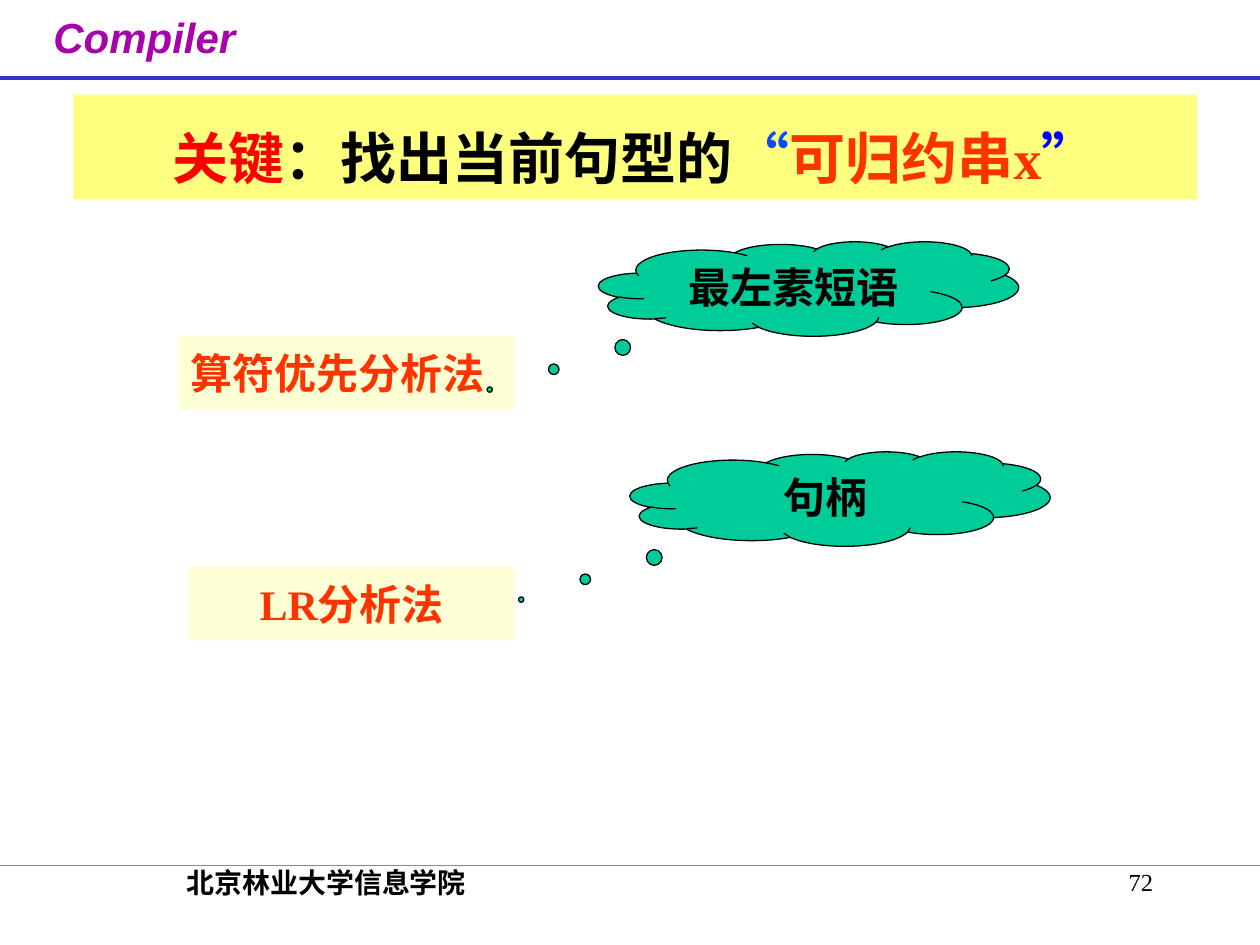
from lxml import etree
from pptx import Presentation
from pptx.dml.color import RGBColor
from pptx.enum.shapes import MSO_CONNECTOR, MSO_SHAPE
from pptx.enum.text import MSO_ANCHOR, PP_ALIGN
from pptx.oxml.ns import qn
from pptx.util import Pt

COLORS = {
    "black": "000000",
    "purple": "A603AB",
    "header_rule": "3333CC",
    "green": "00CC99",
    "cream": "FFFFD5",
    "yellow": "FFFF00",
    "red": "FF0000",
    "orange": "FF3300",
    "open_quote": "0F48FF",
    "close_quote": "0000FF",
}
SERIF = "Times New Roman"


def rgb(name):
    return RGBColor.from_string(COLORS[name])


def write(shape, runs, size, align=PP_ALIGN.CENTER, bold=True, italic=False,
          font=SERIF, wrap=True):
    """Fill the shape's first paragraph with (text, colour) runs."""
    shape.text_frame.word_wrap = wrap
    paragraph = shape.text_frame.paragraphs[0]
    paragraph.alignment = align
    paragraph.font.name = font
    paragraph.font.size = Pt(size)
    paragraph.font.bold = bold
    paragraph.font.italic = italic
    for text, color in runs:
        run = paragraph.add_run()
        run.text = text
        run.font.color.rgb = rgb(color)
    return paragraph


def add_label(slide, box, text, color, size, **style):
    label = slide.shapes.add_textbox(*map(Pt, box))
    write(label, [(text, color)], size, **style)


def add_rule(slide, y, color, width):
    """Draw a horizontal line across the whole slide."""
    rule = slide.shapes.add_connector(MSO_CONNECTOR.STRAIGHT, 0, Pt(y), Pt(720), Pt(y))
    rule.line.color.rgb = rgb(color)
    rule.line.width = Pt(width)
    etree.SubElement(rule._element.spPr, qn("a:effectLst"))


def add_filled(slide, kind, box, fill):
    shape = slide.shapes.add_shape(kind, *map(Pt, box))
    shape.shadow.inherit = False
    shape.fill.solid()
    shape.fill.fore_color.rgb = rgb(fill)
    shape.line.fill.background()
    shape.text_frame.vertical_anchor = MSO_ANCHOR.MIDDLE
    return shape


def add_method(slide, box, text, align):
    method = add_filled(slide, MSO_SHAPE.RECTANGLE, box, "cream")
    write(method, [(text, "orange")], 24, align=align, wrap=False)


def add_cloud(slide, left, top, text):
    cloud = add_filled(slide, MSO_SHAPE.CLOUD_CALLOUT, (left, top, 240, 54), "green")
    cloud.adjustments[0] = -0.759
    cloud.adjustments[1] = 1.067
    cloud.line.color.rgb = rgb("black")
    cloud.line.width = Pt(0.75)
    write(cloud, [(text, "black")], 24)


def add_title(slide):
    banner = add_filled(slide, MSO_SHAPE.RECTANGLE, (42, 54, 642, 60), "yellow")
    color = banner._element.spPr.find(qn("a:solidFill"))[0]
    etree.SubElement(color, qn("a:alpha"), val="50000")
    paragraph = write(banner, [
        ("关键", "red"),
        ("：找出当前句型的", "black"),
        ("“", "open_quote"),
        ("可归约串x", "orange"),
        ("”", "close_quote"),
    ], 32, wrap=False)
    paragraph.line_spacing = 1.3


def main():
    presentation = Presentation()
    presentation.slide_width = Pt(720)
    presentation.slide_height = Pt(540)
    slide = presentation.slides.add_slide(presentation.slide_layouts[6])

    add_label(slide, (516, 492, 150, 36), "72", "black", 14,
              align=PP_ALIGN.RIGHT, bold=False)
    add_label(slide, (13.75, 3, 137.5, 44.5), "Compiler", "purple", 24,
              italic=True, font="Arial", wrap=False)
    add_rule(slide, 44.6, "header_rule", 2.25)
    add_label(slide, (37.5, 491, 298, 36), "北京林业大学信息学院", "black", 16)
    add_rule(slide, 494.6, "green", 0.75)

    add_method(slide, (102, 192, 192, 42), "算符优先分析法", PP_ALIGN.LEFT)
    add_method(slide, (108, 324, 186, 42), "LR分析法", PP_ALIGN.CENTER)
    add_cloud(slide, 342, 138, "最左素短语")
    add_cloud(slide, 360, 258, "句柄")
    add_title(slide)

    presentation.save("out.pptx")


if __name__ == "__main__":
    main()
